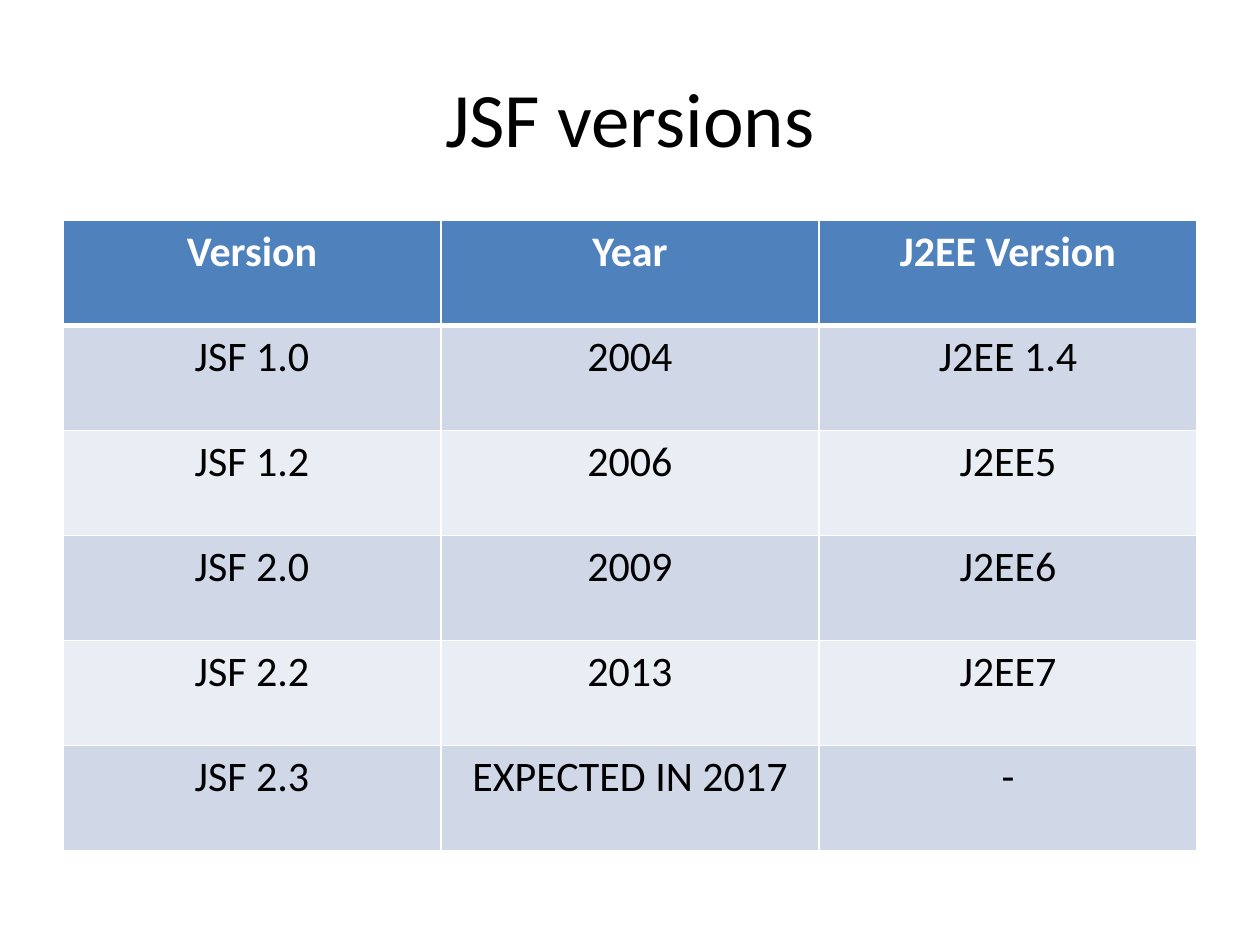
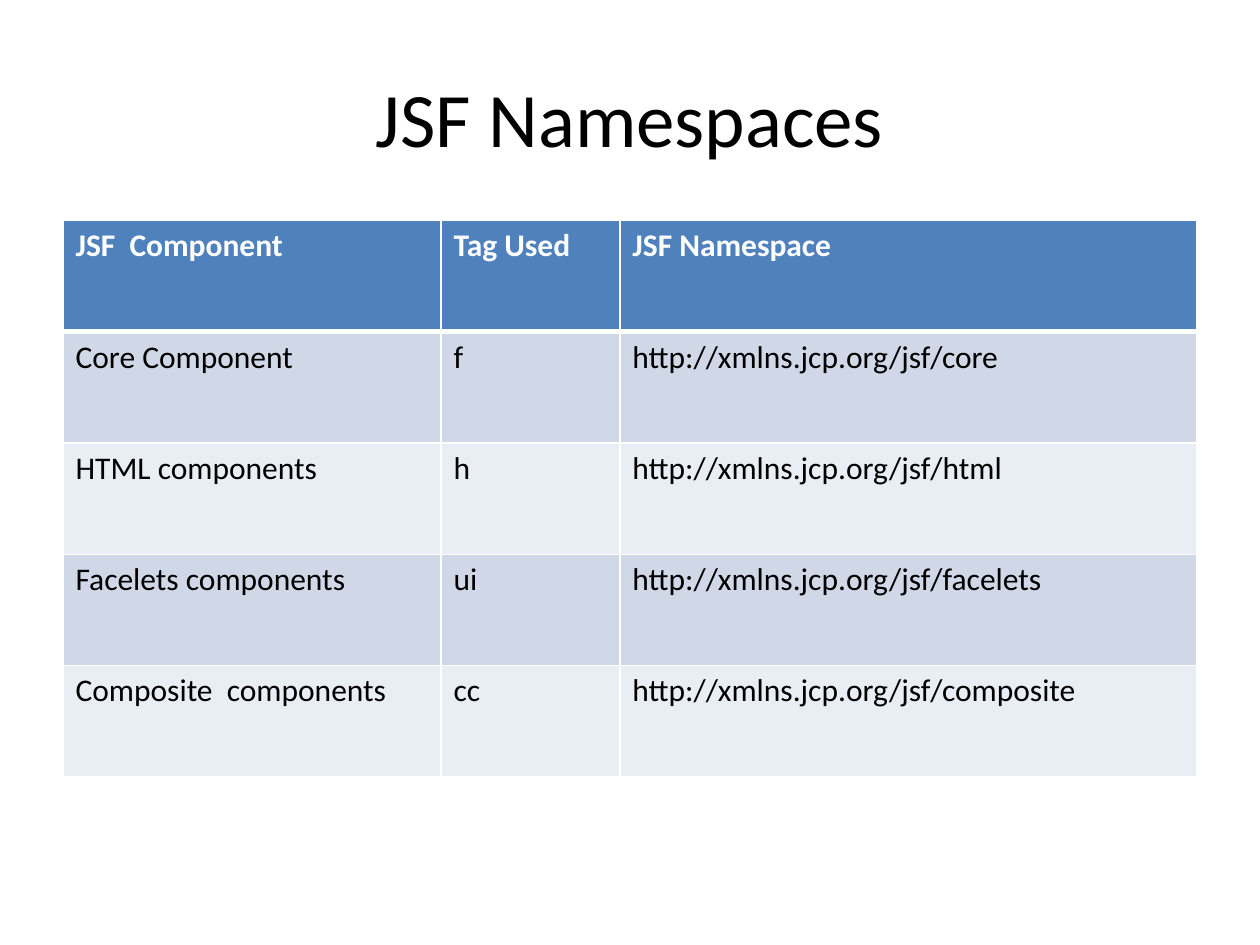
from lxml import etree
from pptx import Presentation
from pptx.dml.color import RGBColor
from pptx.enum.text import MSO_ANCHOR, PP_ALIGN
from pptx.oxml.ns import qn
from pptx.util import Pt

LEFT, CENTER = PP_ALIGN.LEFT, PP_ALIGN.CENTER
MIDDLE = MSO_ANCHOR.MIDDLE
FONT = "Calibri"
BLACK = RGBColor(0x00, 0x00, 0x00)
WHITE = RGBColor(0xFF, 0xFF, 0xFF)
BLUE = RGBColor(0x4F, 0x81, 0xBD)
BANDS = (RGBColor(0xD0, 0xD8, 0xE8), RGBColor(0xE9, 0xED, 0xF4))

TITLE = (36, 21.6, 648, 90)
GRID = (36, 126, 648)

VERSIONS = [
    ("Version", "Year", "J2EE Version"),
    ("JSF 1.0", "2004", "J2EE 1.4"),
    ("JSF 1.2", "2006", "J2EE5"),
    ("JSF 2.0", "2009", "J2EE6"),
    ("JSF 2.2", "2013", "J2EE7"),
    ("JSF 2.3", "EXPECTED IN 2017", "-"),
]
SPACES = [
    ("JSF  Component", "Tag Used", "JSF Namespace"),
    ("Core Component", "f", "http://xmlns.jcp.org/jsf/core"),
    ("HTML components", "h", "http://xmlns.jcp.org/jsf/html"),
    ("Facelets components", "ui", "http://xmlns.jcp.org/jsf/facelets"),
    ("Composite  components", "cc", "http://xmlns.jcp.org/jsf/composite"),
]


def write(frame, text, size, color, align, bold=False):
    para = frame.paragraphs[0]
    para.alignment = align
    run = para.add_run()
    run.text = text
    font = run.font
    font.name, font.size, font.bold = FONT, Pt(size), bold
    font.color.rgb = color


def add_title(slide, box, text):
    frame = slide.shapes.add_textbox(*map(Pt, box)).text_frame
    frame.word_wrap = True
    frame.vertical_anchor = MIDDLE
    write(frame, text, 44, BLACK, CENTER)


def add_rules(cell, top, bottom):
    props = cell._tc.get_or_add_tcPr()
    for side, width in (("L", 1), ("R", 1), ("T", top), ("B", bottom)):
        line = etree.SubElement(props, qn("a:ln" + side), w=str(Pt(width)))
        fill = etree.SubElement(line, qn("a:solidFill"))
        etree.SubElement(fill, qn("a:srgbClr"), val=str(WHITE))


def add_grid(slide, box, rows, shares, height, size, align):
    left, top, width = box
    table = slide.shapes.add_table(
        len(rows), len(shares), Pt(left), Pt(top), Pt(width), Pt(height * len(rows))
    ).table
    for col, share in zip(table.columns, shares):
        col.width = Pt(width * share / sum(shares))
    for r, row in enumerate(rows):
        table.rows[r].height = Pt(height)
        head = r == 0
        for c, text in enumerate(row):
            cell = table.cell(r, c)
            add_rules(cell, 3 if r == 1 else 1, 3 if head else 1)
            cell.fill.solid()
            cell.fill.fore_color.rgb = BLUE if head else BANDS[(r - 1) % 2]
            write(cell.text_frame, text, size, WHITE if head else BLACK, align, head)


def add_page(deck, title, *grid):
    slide = deck.slides.add_slide(deck.slide_layouts[6])
    add_title(slide, TITLE, title)
    add_grid(slide, GRID, *grid)


def main():
    deck = Presentation()
    deck.slide_width, deck.slide_height = Pt(720), Pt(540)
    add_page(deck, "JSF versions", VERSIONS, (1, 1, 1), 60, 24, CENTER)
    add_page(deck, "JSF Namespaces", SPACES, (3, 1.42, 4.58), 63.6, 18, LEFT)
    deck.save("out.pptx")


if __name__ == "__main__":
    main()
